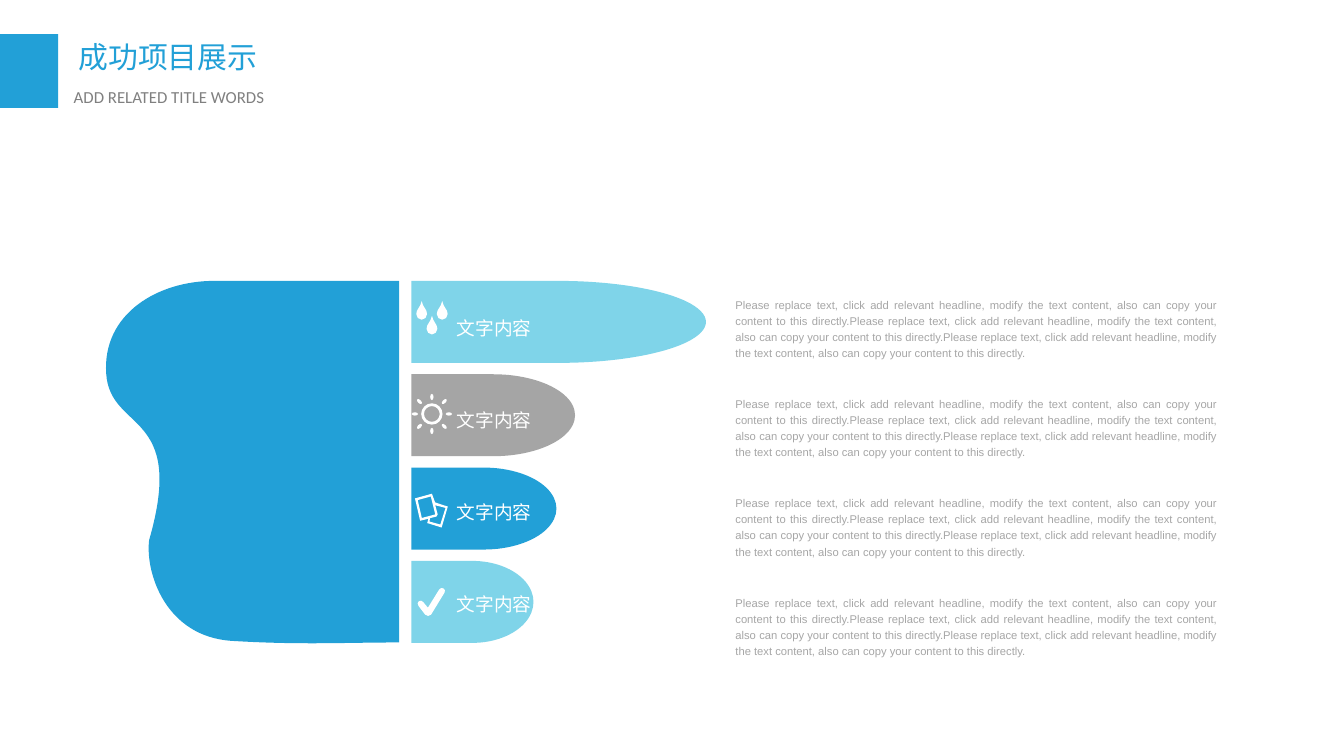
from math import cos, pi, sin

from lxml.etree import SubElement
from pptx import Presentation
from pptx.dml.color import RGBColor
from pptx.enum.shapes import MSO_SHAPE as SHAPE
from pptx.enum.text import MSO_AUTO_SIZE as AUTO, PP_ALIGN as ALIGN
from pptx.oxml.ns import qn
from pptx.util import Pt

COLORS = {"blue": "22A0D7", "sky": "7FD4E9", "grey": "A5A5A5",
          "body": "A6A6A6", "subtitle": "808080", "white": "FFFFFF"}
CJK = "Noto Sans CJK SC"
SENTENCE = ("Please replace text, click add relevant headline, modify the "
            "text content, also can copy your content to this directly.")


def rgb(name):
    return RGBColor.from_string(COLORS[name])


# A contour is a start point, then lines (x, y) or curves (x1, y1, x2, y2, x, y)
def ellipse(cx, cy, rx, ry, turn=0.0):
    def at(x, y):
        return (cx + rx * x * cos(turn) - ry * y * sin(turn),
                cy + rx * x * sin(turn) + ry * y * cos(turn))

    k = 0.55
    contour = [at(1, 0)]
    for x, y in ((1, 0), (0, 1), (-1, 0), (0, -1)):
        contour.append(at(x - k * y, y + k * x) + at(k * x - y, k * y + x) + at(-y, x))
    return contour


def drop(x, y):
    return [(x, y), (x - 0.7, y + 3.6, x - 2.9, y + 4.3, x - 2.9, y + 7),
            (x - 2.9, y + 8.6, x - 1.6, y + 10, x, y + 10),
            (x + 1.6, y + 10, x + 2.9, y + 8.6, x + 2.9, y + 7),
            (x + 2.9, y + 4.3, x + 0.7, y + 3.6, x, y)]


def sun(x, y):
    rays = []
    for i in range(8):
        a, r = i * pi / 4, 9.1 + 0.3 * (i % 2)
        rays.append(ellipse(x + r * cos(a), y + r * sin(a), 1.7, 0.9, a))
    return [ellipse(x, y, 5.7, 5.7), ellipse(x, y, 4.2, 4.2)] + rays


class Deck:
    def __init__(self, width, height):
        self.prs = Presentation()
        self.prs.slide_width, self.prs.slide_height = Pt(width), Pt(height)
        self.slide = self.prs.slides.add_slide(self.prs.slide_layouts[6])

    def paint(self, sp, color):
        sp.shadow.inherit = False
        sp.fill.solid()
        sp.fill.fore_color.rgb = rgb(color)
        sp.line.fill.background()

    def shape(self, kind, x, y, w, h, color):
        self.paint(self.slide.shapes.add_shape(kind, Pt(x), Pt(y), Pt(w), Pt(h)), color)

    def freeform(self, contours, color):
        builder = None
        for contour in contours:
            start, *ends = [(Pt(seg[-2]), Pt(seg[-1])) for seg in contour]
            if builder is None:
                builder = self.slide.shapes.build_freeform(*start)
            else:
                builder.move_to(*start)
            builder.add_line_segments(ends, close=True)
        sp = builder.convert_to_shape()
        # Turn the lines that have control points into curves
        segments = [seg for contour in contours for seg in contour[1:]]
        for line, seg in zip(list(sp._element.iter(qn("a:lnTo"))), segments):
            if len(seg) == 6:
                line.tag = qn("a:cubicBezTo")
                for i in (0, 2):
                    pt = SubElement(line, qn("a:pt"), x=str(Pt(seg[i]) - sp.left),
                                    y=str(Pt(seg[i + 1]) - sp.top))
                    line.insert(i // 2, pt)
        self.paint(sp, color)

    def text(self, text, x, y, w, h, size, color, font="Arial", inset=(0, 0),
             align=ALIGN.JUSTIFY, spacing=None, wrap=True):
        sp = self.slide.shapes.add_textbox(Pt(x), Pt(y), Pt(w), Pt(h))
        tf = sp.text_frame
        tf.word_wrap, tf.auto_size = wrap, AUTO.SHAPE_TO_FIT_TEXT
        tf.margin_left = tf.margin_right = Pt(inset[0])
        tf.margin_top = tf.margin_bottom = Pt(inset[1])
        p = tf.paragraphs[0]
        p.text, p.alignment, p.line_spacing = text, align, spacing
        p.font.size, p.font.name = Pt(size), font
        p.font.color.rgb = rgb(color)
        if font == CJK:  # East Asian typeface
            SubElement(p.font._element, qn("a:ea"), typeface=font)


def main():
    deck = Deck(720, 405)

    # Header
    deck.shape(SHAPE.RECTANGLE, 0, 18.3, 31.2, 39.5, "blue")
    deck.text("成功项目展示", 36.7, 18, 144.7, 25.2, 16, "blue", CJK, (5.4, 2.7))
    deck.text("ADD RELATED TITLE WORDS", 34.1, 43.9, 160.6, 16.6, 9, "subtitle",
              "Calibri", (5.4, 2.7))

    # Sole of the foot
    deck.freeform([[
        (79.9, 289.4), (100.1, 219.6, 59, 231.8, 56.9, 200.2),
        (54.7, 167.8, 85, 150.5, 114.5, 150.5), (213.8, 150.5), (213.8, 344.2),
        (184.3, 344.2, 161.3, 345.6, 124.6, 343.4),
        (88.6, 341.3, 77.8, 306.7, 79.9, 289.4)]], "blue")

    # Toes, labels and descriptions
    toes = [(157.8, "sky"), (87.7, "grey"), (77.7, "blue"), (65.4, "sky")]
    for i, (width, color) in enumerate(toes):
        deck.shape(SHAPE.FLOWCHART_DELAY, 220.4, 150.5 + 50 * i, width, 43.9, color)
        deck.text("文字内容", 244.8, 167.4 + 49.3 * i, 40.3, 14.4, 10, "white",
                  align=ALIGN.LEFT, spacing=1.2, wrap=False)
        deck.text(SENTENCE * 3, 394, 158.2 + 53.2 * i, 257.8, 34.6, 6, "body", spacing=1.2)

    # Icons: drops, sun, pages, check mark
    icon_x = 231.4
    drops = [drop(icon_x + dx, y) for dx, y in ((-5.5, 161.3), (5.5, 161.3), (0, 169.2))]
    pages = [
        [(239.9, 271.4), (233.1, 269.2), (231.4, 264.5), (222.3, 267),
         (225.1, 279), (229.5, 277.9), (228.9, 280.2), (236.6, 282.6)],
        [(223.8, 267.9), (230.8, 266), (233.2, 275.6), (226, 277.5)],
        [(235.9, 281), (230.1, 279.4), (230.4, 277.6), (233.9, 276.7),
         (234.5, 275.6), (233.2, 270.7), (238.7, 272.1)]]
    check = [
        (229.4, 330), (228.7, 330, 228.1, 329.7, 227.8, 329.3), (224.2, 324.6),
        (223.5, 323.7, 223.7, 322.7, 224.4, 322.1),
        (225.1, 321.6, 226.1, 321.8, 226.7, 322.5), (229.3, 325.6), (235.3, 315.9),
        (235.8, 315, 236.8, 314.8, 237.6, 315.2),
        (238.5, 315.8, 238.7, 316.7, 238.2, 317.5), (231, 329.3),
        (230.6, 329.8, 230.1, 330, 229.4, 330)]
    for icon in (drops, sun(icon_x, 221.8), pages, [check]):
        deck.freeform(icon, "white")

    deck.prs.save("out.pptx")


if __name__ == "__main__":
    main()
